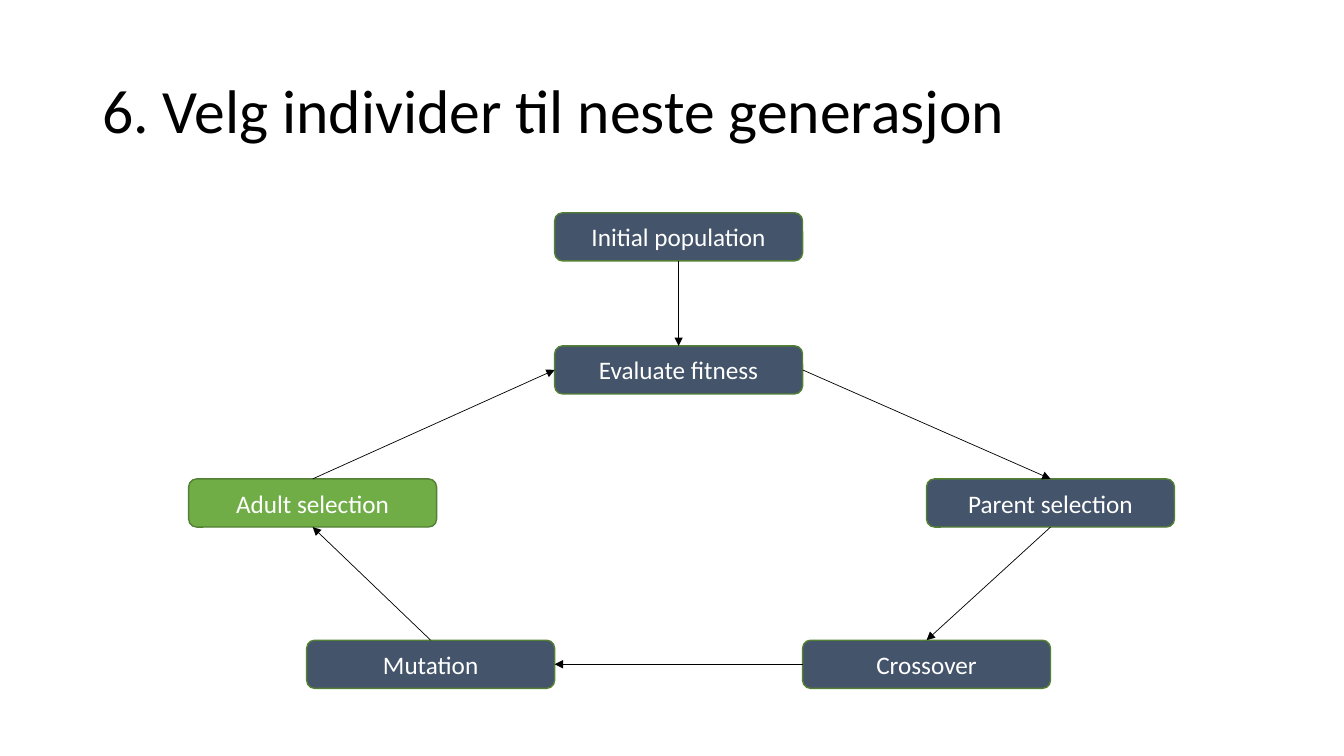
from lxml import etree
from pptx import Presentation
from pptx.dml.color import RGBColor
from pptx.enum.shapes import MSO_CONNECTOR, MSO_SHAPE
from pptx.enum.text import MSO_ANCHOR, PP_ALIGN
from pptx.oxml.ns import qn
from pptx.util import Pt

ROUNDED = MSO_SHAPE.ROUNDED_RECTANGLE
STRAIGHT = MSO_CONNECTOR.STRAIGHT
MIDDLE = MSO_ANCHOR.MIDDLE
LEFT_ALIGN, CENTER = PP_ALIGN.LEFT, PP_ALIGN.CENTER

FONT = "Calibri"
BLACK, WHITE = "000000", "FFFFFF"
SLATE, GREEN, DARK_GREEN = "44546A", "70AD47", "538035"

STEP_WIDTH, STEP_HEIGHT = 177.12, 34.4
ROW_GAP = 95.04
TOP, LEFT, BOTTOM, RIGHT = range(4)  # connection sites of a rounded rectangle

# Step name: (left, top) within the diagram
STEPS = {
    "Initial population": (261.4, 0),
    "Evaluate fitness": (261.4, ROW_GAP),
    "Parent selection": (527.04, 2 * ROW_GAP),
    "Crossover": (261.4 + STEP_WIDTH, 305.3),
    "Mutation": (261.4 - STEP_WIDTH, 305.3),
    "Adult selection": (0, 2 * ROW_GAP),
}
CURRENT_STEP = "Adult selection"
ARROWS = [
    ("Initial population", BOTTOM, "Evaluate fitness", TOP),
    ("Evaluate fitness", RIGHT, "Parent selection", TOP),
    ("Parent selection", BOTTOM, "Crossover", TOP),
    ("Crossover", LEFT, "Mutation", RIGHT),
    ("Mutation", TOP, "Adult selection", BOTTOM),
    ("Adult selection", TOP, "Evaluate fitness", LEFT),
]


def color(value):
    """Turn a hex string into a colour."""
    return RGBColor.from_string(value)


def write(shape, text, size, text_color, alignment):
    """Write one vertically centred line of text into a shape."""
    frame = shape.text_frame
    frame.word_wrap = True
    frame.vertical_anchor = MIDDLE
    paragraph = frame.paragraphs[0]
    paragraph.alignment = alignment
    run = paragraph.add_run()
    run.text = text
    run.font.name = FONT
    run.font.size = Pt(size)
    run.font.color.rgb = color(text_color)
    return paragraph


def add_title(slide, left, top, width, height):
    """Add the slide title in the given box."""
    box = slide.shapes.add_textbox(Pt(left), Pt(top), Pt(width), Pt(height))
    paragraph = write(box, "6. Velg individer til neste generasjon", 44, BLACK, LEFT_ALIGN)
    paragraph.line_spacing = 0.9


def add_step(slide, name, left, top):
    """Add one step of the algorithm, highlighted if it is the current one."""
    shape = slide.shapes.add_shape(
        ROUNDED, Pt(left), Pt(top), Pt(STEP_WIDTH), Pt(STEP_HEIGHT))
    shape.shadow.inherit = False
    shape.fill.solid()
    shape.fill.fore_color.rgb = color(GREEN if name == CURRENT_STEP else SLATE)
    shape.line.color.rgb = color(DARK_GREEN)
    shape.line.width = Pt(1)
    write(shape, name, 18, WHITE, CENTER)
    return shape


def add_arrow(slide, source, source_site, target, target_site):
    """Connect two steps with an arrow."""
    arrow = slide.shapes.add_connector(STRAIGHT, 0, 0, 0, 0)
    arrow.begin_connect(source, source_site)
    arrow.end_connect(target, target_site)
    arrow.line.color.rgb = color(BLACK)
    arrow.line.width = Pt(0.5)
    etree.SubElement(arrow.line._get_or_add_ln(), qn("a:tailEnd"), type="triangle")
    etree.SubElement(arrow._element.spPr, qn("a:effectLst"))


def add_cycle(slide, left, top):
    """Add the evolution cycle with its top left corner at the given point."""
    shapes = {name: add_step(slide, name, left + x, top + y)
              for name, (x, y) in STEPS.items()}
    for source, source_site, target, target_site in ARROWS:
        add_arrow(slide, shapes[source], source_site, shapes[target], target_site)


def main():
    """Build and save the presentation."""
    presentation = Presentation()
    presentation.slide_width, presentation.slide_height = Pt(960), Pt(540)
    slide = presentation.slides.add_slide(presentation.slide_layouts[6])
    add_title(slide, 66, 28.75, 828, 104.4)
    add_cycle(slide, 134.8, 152)
    presentation.save("out.pptx")


main()
